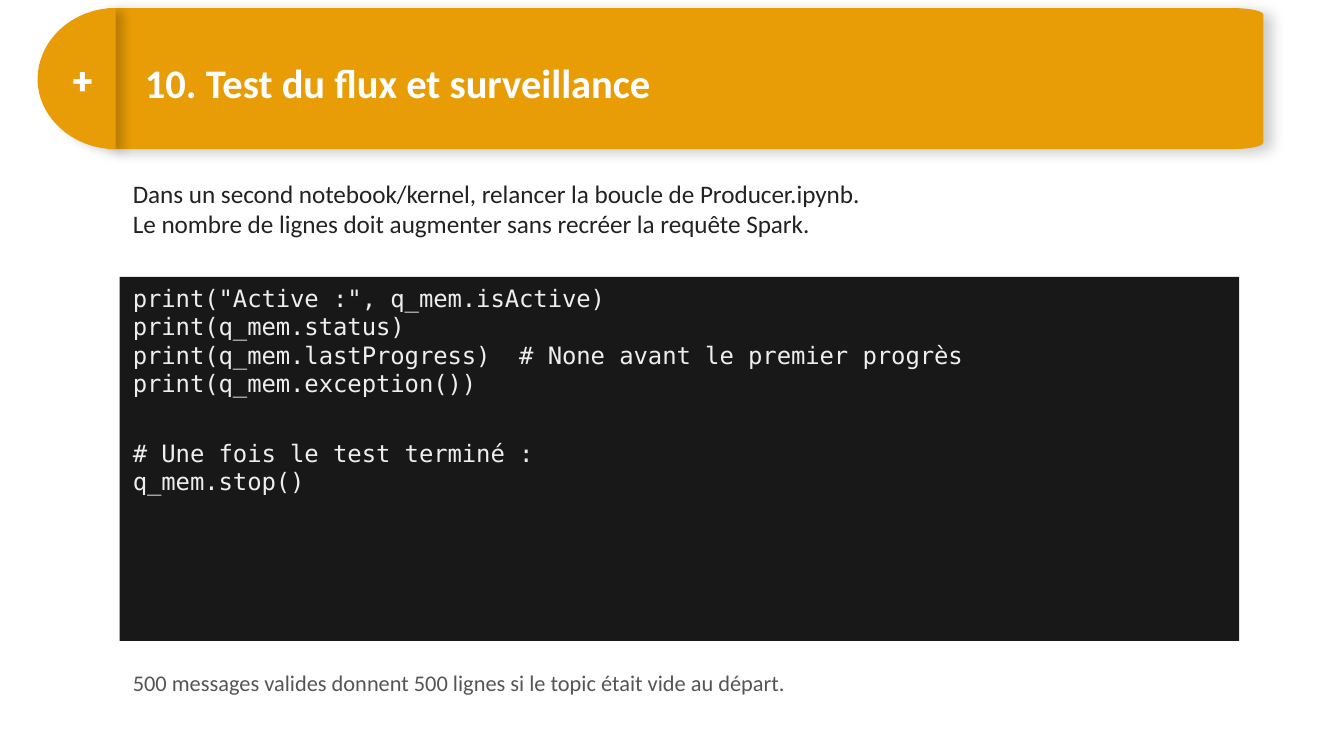
from dataclasses import dataclass

from lxml import etree
from pptx import Presentation
from pptx import util as u
from pptx.dml.color import RGBColor
from pptx.enum import shapes, text
from pptx.oxml import ns

ORANGE, WHITE = "E89D06", "FFFFFF"
CURVE_STEPS = 24

Point = tuple[float, float]


@dataclass
class TextBlock:
    left: float
    top: float
    width: float
    height: float
    lines: tuple[str, ...]
    size: float
    color: str
    font: str = "Calibri"
    bold: bool = False
    fill: str | None = None
    middle: bool = False
    gap_line: int | None = None  # line that opens a new group
    gap: float = 0  # points above that line


@dataclass
class Panel:
    outline: list[Point]
    blur: float
    angle: int


def rgb(color: str) -> RGBColor:
    return RGBColor.from_string(color)


def curve(start: Point, first: Point, second: Point, end: Point) -> list[Point]:
    """Points along a cubic curve, both ends included."""
    points = []
    for step in range(CURVE_STEPS + 1):
        t = step / CURVE_STEPS
        weights = ((1 - t) ** 3, 3 * t * (1 - t) ** 2, 3 * t**2 * (1 - t), t**3)
        corners = (start, first, second, end)
        points.append((sum(w * c[0] for w, c in zip(weights, corners)),
                       sum(w * c[1] for w, c in zip(weights, corners))))
    return points


def paint(shape, color: str) -> None:
    shape.shadow.inherit = False
    shape.fill.solid()
    shape.fill.fore_color.rgb = rgb(color)
    shape.line.fill.background()


def draw_panel(page, panel: Panel) -> None:
    points = [(u.Inches(x), u.Inches(y)) for x, y in panel.outline]
    builder = page.shapes.build_freeform(*points[0], scale=1.0)
    builder.add_line_segments(points[1:], close=True)
    shape = builder.convert_to_shape()
    paint(shape, ORANGE)
    # Soft shadow to the right
    effects = shape._element.spPr.find(ns.qn("a:effectLst"))
    shadow = etree.SubElement(
        effects, ns.qn("a:outerShdw"), blurRad=str(u.Pt(panel.blur)),
        dist=str(u.Pt(4.5)), dir=str(panel.angle * 60000),
        algn="tl", rotWithShape="0")
    tint = etree.SubElement(shadow, ns.qn("a:srgbClr"), val="000000")
    etree.SubElement(tint, ns.qn("a:alpha"), val="20000")


def draw_text(page, block: TextBlock) -> None:
    area = [u.Inches(n) for n in (block.left, block.top, block.width, block.height)]
    if block.fill:
        box = page.shapes.add_shape(shapes.MSO_SHAPE.RECTANGLE, *area)
        paint(box, block.fill)
    else:
        box = page.shapes.add_textbox(*area)
    frame = box.text_frame
    frame.word_wrap = True
    frame.vertical_anchor = text.MSO_ANCHOR.MIDDLE if block.middle else text.MSO_ANCHOR.TOP
    for index, line in enumerate(block.lines):
        para = frame.add_paragraph() if index else frame.paragraphs[0]
        para.text = line
        para.alignment = text.PP_ALIGN.LEFT
        if index == block.gap_line:
            para.space_before = u.Pt(block.gap)
        para.font.name = block.font
        para.font.size = u.Pt(block.size)
        para.font.bold = block.bold
        para.font.color.rgb = rgb(block.color)


# Header band with slightly rounded right corners, and its round left cap
TOP, BOTTOM, MIDDLE = 0.06, 1.11, 0.59
BAND = Panel(
    [(0.8, TOP), (0.8, BOTTOM)]
    + curve((9.16, BOTTOM), (9.29, BOTTOM), (9.4, 1.09), (9.4, 1.06))
    + curve((9.4, 0.11), (9.4, 0.08), (9.29, TOP), (9.16, TOP)),
    blur=6.8, angle=20)
CAP = Panel(
    curve((0.86, TOP), (0.54, TOP), (0.28, 0.3), (0.28, MIDDLE))
    + curve((0.28, MIDDLE), (0.28, 0.87), (0.54, BOTTOM), (0.86, BOTTOM))[1:],
    blur=5.6, angle=19)

BLOCKS = (
    # Header
    TextBlock(0.44, 0.38, 0.36, 0.42, ("+",), 20, WHITE, "Roboto", True, ORANGE, True),
    TextBlock(0.98, 0.38, 8.23, 0.54, ("10. Test du flux et surveillance",),
              21.75, WHITE, bold=True),
    # Instructions
    TextBlock(0.89, 1.28, 8.33, 0.7, (
        "Dans un second notebook/kernel, relancer la boucle de Producer.ipynb.",
        "Le nombre de lignes doit augmenter sans recréer la requête Spark.",
    ), 13.5, "222222"),
    # Code
    TextBlock(0.89, 2.06, 8.33, 2.71, (
        'print("Active :", q_mem.isActive)',
        "print(q_mem.status)",
        "print(q_mem.lastProgress)  # None avant le premier progrès",
        "print(q_mem.exception())",
        "# Une fois le test terminé :",
        "q_mem.stop()",
    ), 12.75, "EEEEEE", "DejaVu Sans Mono", fill="181818", gap_line=4, gap=21.7),
    # Closing remark
    TextBlock(0.89, 4.93, 8.44, 0.56, (
        "500 messages valides donnent 500 lignes si le topic était vide au départ.",
    ), 12, "555555"),
)


def main() -> None:
    deck = Presentation()
    # Widescreen, 16 to 9
    deck.slide_width = u.Inches(10)
    deck.slide_height = deck.slide_width * 9 // 16
    page = deck.slides.add_slide(deck.slide_layouts[6])
    for panel in (BAND, CAP):
        draw_panel(page, panel)
    for block in BLOCKS:
        draw_text(page, block)
    deck.save("out.pptx")


if __name__ == "__main__":
    main()
